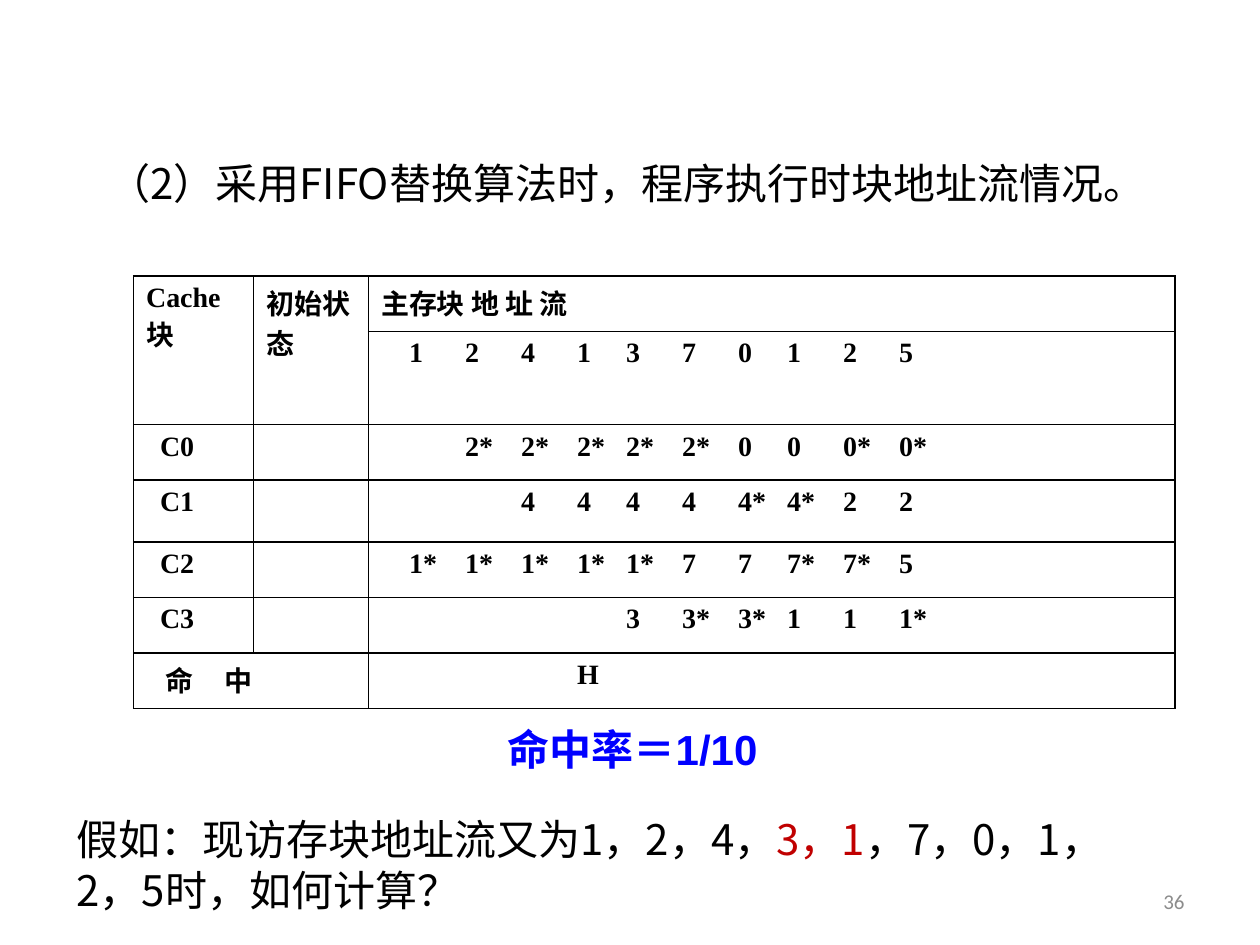
from dataclasses import dataclass
from itertools import accumulate

import pptx
import pptx.dml.color
import pptx.enum.text
import pptx.oxml.ns
import pptx.util
from lxml import etree

Pt = pptx.util.Pt
ALIGN = pptx.enum.text.PP_ALIGN
ANCHOR = pptx.enum.text.MSO_ANCHOR

COLORS = {"text": "000000", "changed": "C00000", "result": "0000FF", "number": "8C8C8C"}
CJK = "Noto Sans CJK SC"
TABLE_LEFT, TABLE_TOP = 76.3, 157.7
COLUMN_WIDTHS = (68.7, 65.6, 460.8)
ROW_HEIGHTS = (31.7, 45.7, 31.7, 35.3, 31.7, 31.7, 31.7)
STREAM_STOPS = tuple(accumulate((16, 32, 32, 32, 28, 32, 32, 28, 32, 32)))
LABEL_STOPS = (8,)
HIT_STOPS = (11, 45)


@dataclass(frozen=True)
class Box:
    left: float
    top: float
    width: float
    height: float


@dataclass(frozen=True)
class CacheRow:
    label: str
    states: tuple[str, ...]


CACHE_ROWS = (
    CacheRow("C0", ("", "2*", "2*", "2*", "2*", "2*", "0", "0", "0*", "0*")),
    CacheRow("C1", ("", "", "4", "4", "4", "4", "4*", "4*", "2", "2")),
    CacheRow("C2", ("1*", "1*", "1*", "1*", "1*", "7", "7", "7*", "7*", "5")),
    CacheRow("C3", ("", "", "", "", "3", "3*", "3*", "1", "1", "1*")),
)


def add_text(paragraph, text: str, *, size: float = 24, font: str = CJK,
             color: str = "text", bold: bool = False) -> None:
    run = paragraph.add_run()
    run.text = text
    run.font.size = Pt(size)
    run.font.name = font
    run.font.bold = bold
    run.font.color.rgb = pptx.dml.color.RGBColor.from_string(COLORS[color])
    east_asian = etree.Element(pptx.oxml.ns.qn("a:ea"), typeface=CJK)
    run.font._element.find(pptx.oxml.ns.qn("a:latin")).addnext(east_asian)


def prepare_frame(shape, box: Box, *, anchor=ANCHOR.TOP, wrap: bool = True,
                  align=ALIGN.LEFT, line_spacing: float | None = None):
    """Place a text shape and return its first paragraph."""
    shape.left, shape.top = Pt(box.left), Pt(box.top)
    shape.width, shape.height = Pt(box.width), Pt(box.height)
    frame = shape.text_frame
    frame.auto_size = pptx.enum.text.MSO_AUTO_SIZE.NONE
    frame.word_wrap = wrap
    frame.vertical_anchor = anchor
    paragraph = frame.paragraphs[0]
    paragraph.alignment = align
    if line_spacing:
        paragraph.line_spacing = Pt(line_spacing)
    return paragraph


def add_text_box(slide, box: Box, **layout):
    shape = slide.shapes.add_textbox(0, 0, Pt(box.width), Pt(box.height))
    return prepare_frame(shape, box, **layout)


def set_borders(cell) -> None:
    properties = cell._tc.get_or_add_tcPr()
    for index, side in enumerate(("lnL", "lnR", "lnT", "lnB")):
        line = etree.Element(pptx.oxml.ns.qn(f"a:{side}"), w=str(Pt(1)))
        fill = etree.SubElement(line, pptx.oxml.ns.qn("a:solidFill"))
        etree.SubElement(fill, pptx.oxml.ns.qn("a:srgbClr"), val=COLORS["text"])
        properties.insert(index, line)


def fill_cell(cell, text: str, stops: tuple[int, ...] = ()) -> None:
    paragraph = cell.text_frame.paragraphs[0]
    if stops:
        properties = paragraph._p.get_or_add_pPr()
        tab_list = etree.SubElement(properties, pptx.oxml.ns.qn("a:tabLst"))
        for stop in stops:
            etree.SubElement(tab_list, pptx.oxml.ns.qn("a:tab"), pos=str(Pt(stop)), algn="l")
    add_text(paragraph, text, size=16, font="Times New Roman", bold=True)


def tabbed(values: tuple[str, ...]) -> str:
    """Put each value behind its own tab stop."""
    return "".join(f"\t{value}" for value in values)


def add_cache_table(slide) -> None:
    table = slide.shapes.add_table(
        len(ROW_HEIGHTS), len(COLUMN_WIDTHS), Pt(TABLE_LEFT), Pt(TABLE_TOP),
        Pt(sum(COLUMN_WIDTHS)), Pt(sum(ROW_HEIGHTS))).table
    table.first_row = table.horz_banding = False
    for column, width in zip(table.columns, COLUMN_WIDTHS):
        column.width = Pt(width)
    for row, height in zip(table.rows, ROW_HEIGHTS):
        row.height = Pt(height)
    for cell in table.iter_cells():
        cell.fill.background()
        set_borders(cell)

    last = len(ROW_HEIGHTS) - 1
    for column in (0, 1):
        table.cell(0, column).merge(table.cell(1, column))
    table.cell(last, 0).merge(table.cell(last, 1))

    for column, heading in enumerate(("Cache块", "初始状态", "主存块 地 址 流")):
        fill_cell(table.cell(0, column), heading)
    fill_cell(table.cell(1, 2), tabbed(tuple("1241370125")), STREAM_STOPS)
    for index, cache_row in enumerate(CACHE_ROWS, start=2):
        fill_cell(table.cell(index, 0), tabbed((cache_row.label,)), LABEL_STOPS)
        fill_cell(table.cell(index, 2), tabbed(cache_row.states), STREAM_STOPS)
    fill_cell(table.cell(last, 0), tabbed(("命", "中")), HIT_STOPS)
    fill_cell(table.cell(last, 2), tabbed(("", "", "", "H")), STREAM_STOPS)


def main() -> None:
    presentation = pptx.Presentation()
    presentation.slide_width, presentation.slide_height = Pt(720), Pt(540)
    slide = presentation.slides.add_slide(presentation.slide_layouts.get_by_name("Title Only"))

    title = prepare_frame(slide.shapes.title, Box(36.7, 85.7, 639.4, 65.5),
                          wrap=False, line_spacing=29.3)
    title._p.get_or_add_pPr().set("indent", str(Pt(18)))
    add_text(title, "（2）采用FIFO替换算法时，程序执行时块地址流情况。")

    add_cache_table(slide)

    hit_rate = add_text_box(slide, Box(283, 409.7, 207.4, 36), anchor=ANCHOR.MIDDLE)
    add_text(hit_rate, "命中率＝", font="Roboto", color="result", bold=True)
    add_text(hit_rate, "1/10", font="Arial", color="result", bold=True)

    number = add_text_box(slide, Box(516.2, 500.4, 167.8, 28.8),
                          anchor=ANCHOR.MIDDLE, align=ALIGN.RIGHT)
    add_text(number, "36", size=12, font="Calibri", color="number")

    question = add_text_box(slide, Box(36.7, 460.8, 625, 65.5), line_spacing=29.3)
    add_text(question, "假如：现访存块地址流又为1，2，4，")
    add_text(question, "3，1", color="changed")
    add_text(question, "，7，0，1，2，5时，如何计算？")

    presentation.save("out.pptx")


if __name__ == "__main__":
    main()
